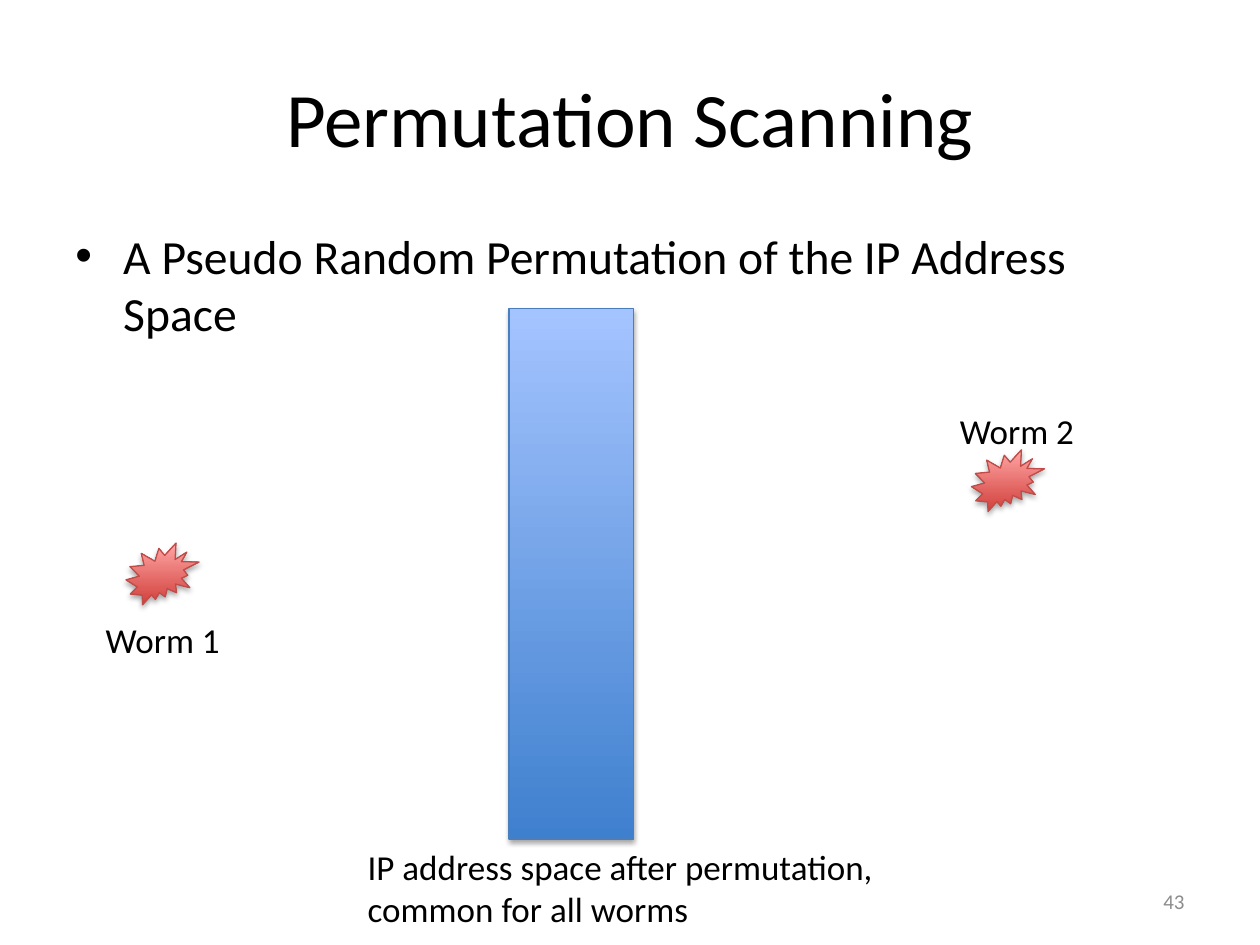
"""Build the Permutation Scanning slide."""
from lxml.etree import SubElement
from pptx import Presentation
from pptx.dml.color import RGBColor
from pptx.enum.shapes import MSO_SHAPE as Shape
from pptx.enum.text import MSO_ANCHOR as Anchor, PP_ALIGN as Align
from pptx.oxml.ns import qn
from pptx.util import Inches, Pt

BLACK = RGBColor(0x00, 0x00, 0x00)
GRAY = RGBColor(0x8C, 0x8C, 0x8C)
BLUE_DARK = RGBColor(0x3F, 0x80, 0xCE)
BLUE_LIGHT = RGBColor(0xA4, 0xC4, 0xFF)
BLUE_EDGE = RGBColor(0x4B, 0x7E, 0xBC)
RED_DARK = RGBColor(0xD1, 0x40, 0x3C)
RED_LIGHT = RGBColor(0xFF, 0xA6, 0xA5)
RED_EDGE = RGBColor(0xBF, 0x4C, 0x48)

deck = Presentation()
deck.slide_width, deck.slide_height = Inches(10), Inches(7.5)
page = deck.slides.add_slide(deck.slide_layouts[6])


def add_text(text, left, top, width, height, size, color=BLACK,
             align=Align.LEFT, anchor=Anchor.TOP, bullet=False):
    box = page.shapes.add_textbox(Inches(left), Inches(top), Inches(width), Inches(height))
    frame = box.text_frame
    frame.word_wrap = True
    frame.vertical_anchor = anchor
    para = frame.paragraphs[0]
    para.text = text
    para.alignment = align
    if bullet:
        props = para._p.get_or_add_pPr()
        props.set("marL", str(Inches(0.38)))
        props.set("indent", str(-Inches(0.38)))
        SubElement(props, qn("a:buFont"), typeface="Arial")
        SubElement(props, qn("a:buChar"), char="•")
    para.font.size = Pt(size)
    para.font.name = "Calibri"
    para.font.color.rgb = color


def add_shaded(kind, left, top, width, height, dark, light, edge):
    shape = page.shapes.add_shape(kind, Inches(left), Inches(top), Inches(width), Inches(height))
    shape.fill.gradient()
    shape.fill.gradient_angle = 90
    for stop, color in zip(shape.fill.gradient_stops, (dark, light)):
        stop.color.rgb = color
    shape.line.color.rgb = edge
    shape.line.width = Pt(0.75)
    shape.shadow.inherit = False
    effects = shape._element.spPr.find(qn("a:effectLst"))
    shadow = SubElement(effects, qn("a:outerShdw"), blurRad=str(Pt(3.1)),
                        dist=str(Pt(1.8)), dir="5400000", rotWithShape="0")
    tint = SubElement(shadow, qn("a:srgbClr"), val="000000")
    SubElement(tint, qn("a:alpha"), val="35000")


add_text("Permutation Scanning", 0.5, 0.3, 9, 1.25, 44,
         align=Align.CENTER, anchor=Anchor.MIDDLE)
add_text("A Pseudo Random Permutation of the IP Address Space",
         0.5, 1.75, 9, 0.7, 27.2, bullet=True)
add_text("43", 7.17, 6.95, 2.33, 0.4, 12, GRAY, Align.RIGHT, Anchor.MIDDLE)

add_shaded(Shape.RECTANGLE, 4.04, 2.45, 0.99, 4.21, BLUE_DARK, BLUE_LIGHT, BLUE_EDGE)
add_text("IP address space after permutation, common for all worms",
         2.82, 6.66, 4.4, 0.7, 20)

worms = [
    ("Worm 1", (1, 4.31), (0.74, 4.86)),
    ("Worm 2", (7.71, 3.57), (7.52, 3.2)),
]
for name, burst_at, label_at in worms:
    add_shaded(Shape.EXPLOSION2, *burst_at, 0.58, 0.49, RED_DARK, RED_LIGHT, RED_EDGE)
    add_text(name, *label_at, 1.67, 0.39, 20)

deck.save("out.pptx")
